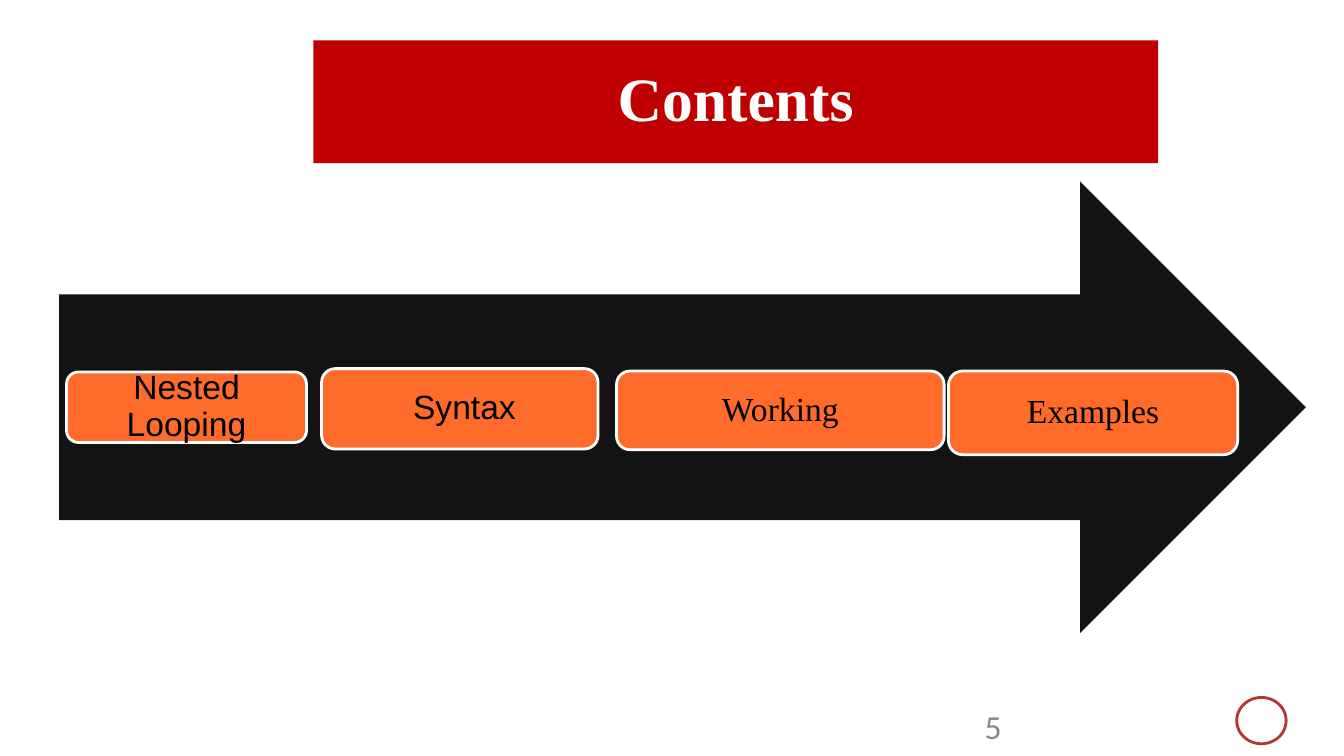
import pptx
import pptx.util
import pptx.dml.color
from pptx.enum.shapes import MSO_SHAPE
from pptx.enum.text import MSO_ANCHOR, PP_ALIGN

Pt = pptx.util.Pt
COLORS = {"arrow": "131313", "step": "FE6B2B", "title": "C00000", "ring": "B13737",
          "white": "FFFFFF", "black": "000000", "number": "898989"}


def rgb(name):
    return pptx.dml.color.RGBColor.from_string(COLORS[name])


def add_box(kind, left, top, width, height, fill=None, line=None):
    """Add a shadowless shape; no fill or line unless a colour is named."""
    sp = s.shapes.add_shape(kind, Pt(left), Pt(top), Pt(width), Pt(height))
    sp.shadow.inherit = False
    if fill:
        sp.fill.solid()
        sp.fill.fore_color.rgb = rgb(fill)
    else:
        sp.fill.background()
    if line:
        sp.line.color.rgb = rgb(line)
        sp.line.width = Pt(2)
    else:
        sp.line.fill.background()
    return sp


prs = pptx.Presentation()
prs.slide_width, prs.slide_height = Pt(960), Pt(540)
s = prs.slides.add_slide(prs.slide_layouts[6])

add_box(MSO_SHAPE.RIGHT_ARROW, 42.2, 129.6, 890.6, 322.6, fill="arrow")

labels = []
steps = [("Nested Looping", "Arial", 47.5, 265.7, 171.4, 50.4),
         (" Syntax", "Arial", 229.7, 263.3, 197.5, 57.4),
         ("Working", "Times New Roman", 440.4, 265, 234, 56.2),
         ("Examples", "Times New Roman", 677.5, 265, 206.6, 59.8)]
for text, font, *place in steps:
    sp = add_box(MSO_SHAPE.ROUNDED_RECTANGLE, *place, fill="step", line="white")
    sp.adjustments[0] = 0.17
    labels.append((sp, text, font, 24, "black"))

# Slide number
tb = s.shapes.add_textbox(Pt(696.2), Pt(500.4), Pt(216), Pt(28.8))
tf = tb.text_frame
tf.word_wrap = True
p = tf.paragraphs[0]
p.text = "5"
p.font.name = "Calibri"
p.font.size = Pt(24)
p.font.color.rgb = rgb("number")

add_box(MSO_SHAPE.OVAL, 883.4, 498.2, 35.3, 33.1, line="ring")
title = add_box(MSO_SHAPE.RECTANGLE, 223.9, 28.8, 603.4, 87.8, fill="title")
labels.append((title, "Contents", "Times New Roman", 44, "white"))

for sp, text, font, size, color in labels:
    tf = sp.text_frame
    tf.word_wrap = True
    tf.vertical_anchor = MSO_ANCHOR.MIDDLE
    tf.margin_left = tf.margin_right = tf.margin_top = tf.margin_bottom = Pt(8)
    p = tf.paragraphs[0]
    p.text = text
    p.alignment = PP_ALIGN.CENTER
    p.line_spacing = 0.9
    p.font.name = font
    p.font.size = Pt(size)
    p.font.bold = sp is title
    p.font.color.rgb = rgb(color)

prs.save("out.pptx")
